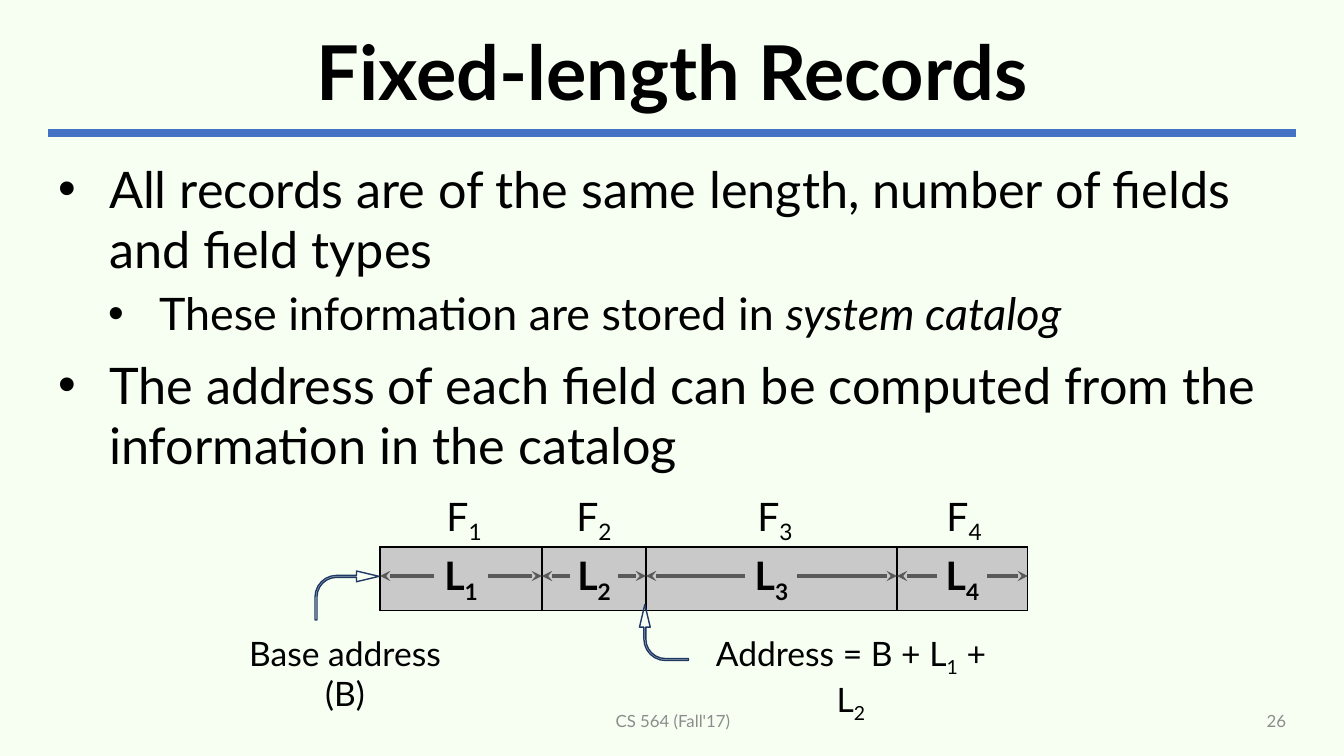
import pptx
import pptx.util
import pptx.dml.color
import pptx.enum.shapes
import pptx.enum.text
import pptx.oxml
import pptx.oxml.ns
import lxml.etree

Pt = pptx.util.Pt
SHAPE = pptx.enum.shapes.MSO_SHAPE
ALIGN = pptx.enum.text.PP_ALIGN
MIDDLE = pptx.enum.text.MSO_ANCHOR.MIDDLE

THEME = {
    "font": "Lato", "bg": "F7FFF3", "text": "000000", "muted": "8C8C8C",
    "rule": "4472C4", "cell": "C9C9C9", "arrow": "595959", "pointer": "203864",
    "title": 54, "body": (36, 32), "label": 28, "note": 24, "footer": 12,
}
TITLE = "Fixed-length Records"
BULLETS = [
    (0, "All records are of the same length, number of fields and field types"),
    (1, "These information are stored in |system catalog"),
    (0, "The address of each field can be computed from the information in the catalog"),
]
FIELDS = [
    {"name": "F|1", "length": "L|1", "width": 162, "name_x": 464, "gap": 27},
    {"name": "F|2", "length": "L|2", "width": 104, "name_x": 594, "gap": 24},
    {"name": "F|3", "length": "L|3", "width": 251, "name_x": 775, "gap": 26},
    {"name": "F|4", "length": "L|4", "width": 131, "name_x": 964, "gap": 25},
]
NOTES = [
    ("Base address (B)", (220, 628, 250, 50)),
    ("Address = B + L|1| + L|2", (690, 628, 322, 50)),
]
POINTERS = [((315, 571, 64, 49), 0), ((636, 608, 56, 49), 270)]
FOOTERS = [
    ("CS 564 (Fall'17)", (446, 701, 454, 40), ALIGN.CENTER),
    ("26", (950, 701, 346, 40), ALIGN.RIGHT),
]
RECORD_X, RECORD_Y, RECORD_H, ARROW_Y = 380, 547, 57, 576
SUBSCRIPT, ITALIC = ("baseline", "-25000"), ("i", "1")


def px(n):
    return round(n * 12192000 / 1344)


def box(values):
    return [px(v) for v in values]


def rgb(name):
    return pptx.dml.color.RGBColor.from_string(THEME[name])


def write(p, text, size, align=None, color="text", bold=False, mark=SUBSCRIPT):
    p.alignment = align
    for i, part in enumerate(text.split("|")):
        r = p.add_run()
        r.text = part
        r.font.name = THEME["font"]
        r.font.size = Pt(size)
        r.font.bold = bold
        r.font.color.rgb = rgb(color)
        if i % 2:
            r._r.get_or_add_rPr().set(*mark)


def add_text(s, place, text, size, align=ALIGN.CENTER, color="text", anchor=None):
    tf = s.shapes.add_textbox(*box(place)).text_frame
    tf.word_wrap = True
    tf.vertical_anchor = anchor
    write(tf.paragraphs[0], text, size, align, color)


def add_line(s, x1, x2, y, color, width, head=False):
    c = s.shapes.add_connector(
        pptx.enum.shapes.MSO_CONNECTOR.STRAIGHT, *box((x1, y, x2, y)))
    c.line.color.rgb = rgb(color)
    c.line.width = Pt(width)
    if head:
        tail = lxml.etree.SubElement(
            c.line._get_or_add_ln(), pptx.oxml.ns.qn("a:tailEnd"))
        tail.set("type", "stealth")
    lxml.etree.SubElement(c._element.spPr, pptx.oxml.ns.qn("a:effectLst"))


def add_borders(cell):
    tcPr = cell._tc.get_or_add_tcPr()
    for i, side in enumerate(("lnL", "lnR", "lnT", "lnB")):
        tcPr.insert(i, pptx.oxml.parse_xml(
            f'<a:{side} {pptx.oxml.ns.nsdecls("a")} w="12700"><a:solidFill>'
            f'<a:srgbClr val="{THEME["text"]}"/></a:solidFill></a:{side}>'))


def place(sp, values):
    sp.left, sp.top, sp.width, sp.height = box(values)


prs = pptx.Presentation()
prs.slide_width, prs.slide_height = px(1344), px(756)
s = prs.slides.add_slide(prs.slide_layouts[1])
s.background.fill.solid()
s.background.fill.fore_color.rgb = rgb("bg")

add_line(s, 48, 1296, 133, "rule", 6)
title, body = s.placeholders
place(title, (48, 24, 1248, 105))
title.text_frame.vertical_anchor = MIDDLE
title.text_frame.paragraphs[0].line_spacing = 0.9
write(title.text_frame.paragraphs[0], TITLE, THEME["title"], ALIGN.CENTER, bold=True)

place(body, (48, 153, 1248, 547))
tf = body.text_frame
tf.auto_size = pptx.enum.text.MSO_AUTO_SIZE.NONE
for i, (level, text) in enumerate(BULLETS):
    p = tf.add_paragraph() if i else tf.paragraphs[0]
    p.level = level
    p.space_before = Pt((10, 5)[level])
    write(p, text, THEME["body"][level], ALIGN.LEFT, mark=ITALIC)
    pPr = p._p.get_or_add_pPr()
    pPr.set("marL", str(px((51, 101)[level])))
    pPr.set("indent", str(-px(51)))
    bullet = lxml.etree.SubElement(pPr, pptx.oxml.ns.qn("a:buChar"))
    bullet.set("char", "•")

record_w = sum(f["width"] for f in FIELDS)
table = s.shapes.add_table(
    1, len(FIELDS), *box((RECORD_X, RECORD_Y, record_w, RECORD_H))).table
table.first_row = table.horz_banding = False
left = RECORD_X
for i, f in enumerate(FIELDS):
    table.columns[i].width = px(f["width"])
    cell = table.cell(0, i)
    cell.fill.solid()
    cell.fill.fore_color.rgb = rgb("cell")
    cell.vertical_anchor = MIDDLE
    add_borders(cell)
    write(cell.text_frame.paragraphs[0], f["length"], THEME["label"],
          ALIGN.CENTER, bold=True)
    right = left + f["width"]
    middle = (left + right) / 2
    for end, side in ((right, 1), (left, -1)):
        add_line(s, middle + side * f["gap"], end, ARROW_Y, "arrow", 2.5, head=True)
    add_text(s, (f["name_x"] - 48, 487, 96, 57), f["name"], THEME["label"])
    left = right

for text, where in NOTES:
    add_text(s, where, text, THEME["note"])
for where, angle in POINTERS:
    sp = s.shapes.add_shape(SHAPE.BENT_ARROW, *box(where))
    sp.rotation = angle
    sp.shadow.inherit = False
    sp.fill.background()
    sp.line.color.rgb = rgb("pointer")
    sp.line.width = Pt(1)
    for i, value in enumerate((0.04, 0.11, 0.46, 0.44)):
        sp.adjustments[i] = value
for text, where, align in FOOTERS:
    add_text(s, where, text, THEME["footer"], align, "muted", MIDDLE)

prs.save("out.pptx")
